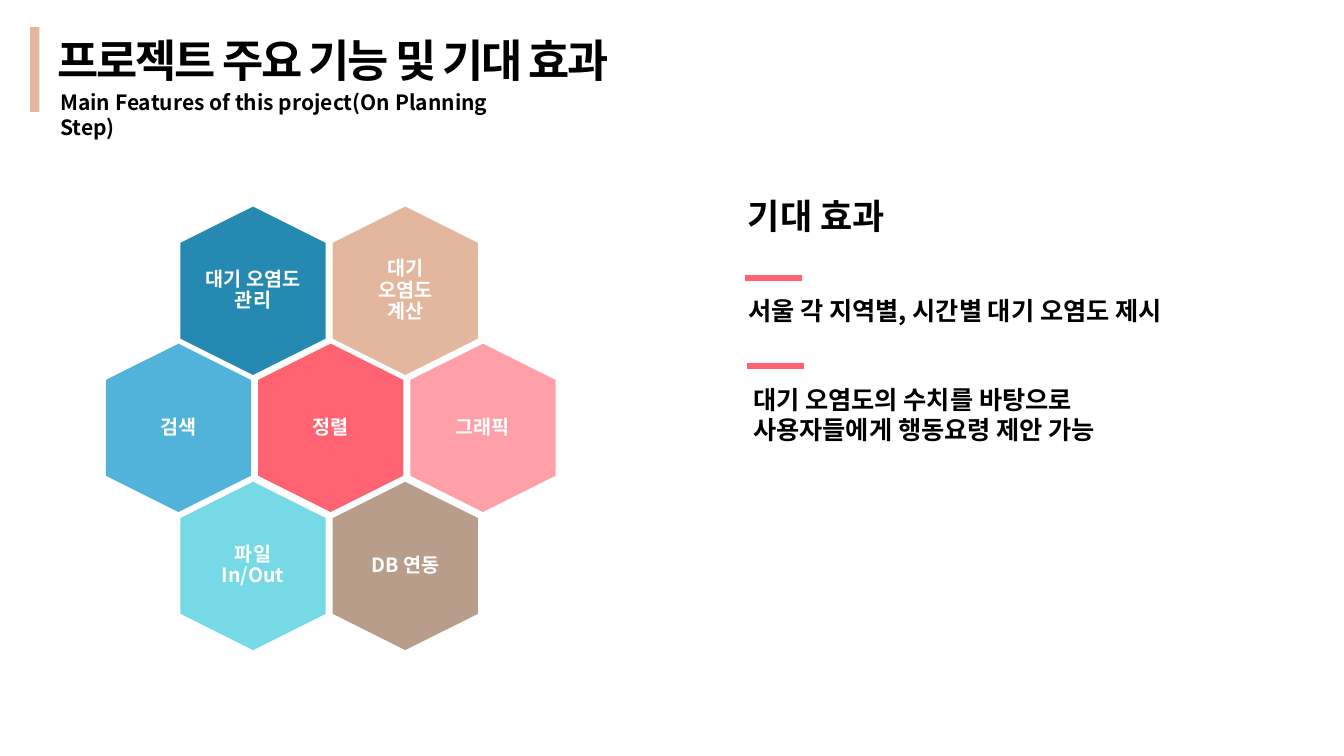
"""Build the slide on main features and expected benefits."""
import dataclasses

import pptx
import pptx.dml.color
import pptx.enum.shapes
import pptx.enum.text
import pptx.oxml.ns
import pptx.util
from lxml import etree

Inches = pptx.util.Inches
Align = pptx.enum.text.PP_ALIGN
Anchor = pptx.enum.text.MSO_ANCHOR
qn = pptx.oxml.ns.qn


@dataclasses.dataclass(frozen=True)
class Theme:
    """Hold the fonts, colours and type sizes."""
    font: str = "Noto Sans CJK KR"
    ink: str = "000000"
    white: str = "FFFFFF"
    sand: str = "E3B69E"
    ocean: str = "2689B2"
    sky: str = "52B3DA"
    coral: str = "FF6372"
    pink: str = "FF9FA8"
    aqua: str = "75DAE5"
    taupe: str = "B89D8A"
    title_size: int = 32
    subtitle_size: int = 15
    heading_size: int = 25
    body_size: int = 18
    hexagon_size: int = 14
    rule_width: float = 4.5


def rgb(value):
    """Turn a hex string into a colour."""
    return pptx.dml.color.RGBColor.from_string(value)


class SlideBuilder:
    """Draw each kind of element on one slide in one style."""

    def __init__(self, slide, theme):
        """Keep the slide and the theme."""
        self.slide = slide
        self.theme = theme

    def add_text(self, shape, text, size, color, align=Align.LEFT, spacing=None):
        """Add one formatted run and return its paragraph."""
        paragraph = shape.text_frame.paragraphs[0]
        paragraph.alignment = align
        run = paragraph.add_run()
        run.text = text
        run.font.size = pptx.util.Pt(size)
        run.font.bold = True
        run.font.color.rgb = rgb(color)
        run.font.name = self.theme.font
        properties = run._r.get_or_add_rPr()
        etree.SubElement(properties, qn("a:ea")).set("typeface", self.theme.font)
        if spacing is not None:
            properties.set("spc", str(spacing))
        return paragraph

    def frame(self, shape):
        """Wrap the text from the top of its shape."""
        shape.text_frame.word_wrap = True
        shape.text_frame.auto_size = pptx.enum.text.MSO_AUTO_SIZE.NONE
        shape.text_frame.vertical_anchor = Anchor.TOP

    def placeholder(self, holder, box, text, size, spacing=None):
        """Move and fill a placeholder, without a bullet."""
        holder.left, holder.top, holder.width, holder.height = map(Inches, box)
        self.frame(holder)
        paragraph = self.add_text(holder, text, size, self.theme.ink, spacing=spacing)
        paragraph.space_before = pptx.util.Pt(0)
        properties = paragraph._p.get_or_add_pPr()
        properties.set("marL", "0")
        properties.set("indent", "0")
        etree.SubElement(properties, qn("a:buNone"))

    def label(self, box, text, size, align=Align.LEFT):
        """Add a text box."""
        label = self.slide.shapes.add_textbox(*map(Inches, box))
        self.frame(label)
        self.add_text(label, text, size, self.theme.ink, align)

    def paint(self, shape, color):
        """Give a shape a flat fill."""
        shape.shadow.inherit = False
        shape.fill.solid()
        shape.fill.fore_color.rgb = rgb(color)
        shape.line.fill.background()

    def bar(self, box, color):
        """Add a filled rectangle."""
        kind = pptx.enum.shapes.MSO_SHAPE.RECTANGLE
        self.paint(self.slide.shapes.add_shape(kind, *map(Inches, box)), color)

    def rule(self, left, top, length):
        """Add a short horizontal line."""
        rule = self.slide.shapes.add_connector(
            pptx.enum.shapes.MSO_CONNECTOR.STRAIGHT,
            Inches(left), Inches(top), Inches(left + length), Inches(top))
        rule.line.color.rgb = rgb(self.theme.coral)
        rule.line.width = pptx.util.Pt(self.theme.rule_width)
        etree.SubElement(rule._element.spPr, qn("a:effectLst"))

    def hexagon(self, left, top, text, color, insets):
        """Add a pointed-top hexagon with a centred caption."""
        width, height, shoulder = 1.44, 1.67, 0.36
        middle, right, bottom = left + width / 2, left + width, top + height
        corners = [(right, top + shoulder), (right, bottom - shoulder),
                   (middle, bottom), (left, bottom - shoulder),
                   (left, top + shoulder)]
        outline = self.slide.shapes.build_freeform(Inches(middle), Inches(top))
        outline.add_line_segments([(Inches(x), Inches(y)) for x, y in corners])
        hexagon = outline.convert_to_shape()
        self.paint(hexagon, color)
        frame = hexagon.text_frame
        frame.word_wrap = True
        frame.vertical_anchor = Anchor.MIDDLE
        side, edge = map(Inches, insets)
        frame.margin_left = frame.margin_right = side
        frame.margin_top = frame.margin_bottom = edge
        paragraph = self.add_text(hexagon, text, self.theme.hexagon_size,
                                  self.theme.white, Align.CENTER)
        paragraph.line_spacing = 0.9


def main():
    """Compose and save the slide."""
    theme = Theme()
    deck = pptx.Presentation()
    deck.slide_width, deck.slide_height = Inches(13.33), Inches(7.5)
    slide = deck.slides.add_slide(deck.slide_layouts[3])
    builder = SlideBuilder(slide, theme)
    title, *benefit_holders = slide.placeholders

    builder.placeholder(title, (0.47, 0.27, 6.45, 0.64),
                        "프로젝트 주요 기능 및 기대 효과", theme.title_size, -150)
    builder.bar((0.3, 0.27, 0.09, 0.84), theme.sand)
    builder.label((0.5, 0.84, 5.01, 0.35),
                  "Main Features of this project(On Planning Step)",
                  theme.subtitle_size)

    narrow, wide = (0.29, 0.33), (0.22, 0.25)
    feature_rows = [
        (1.79, 2.05, [("대기 오염도 관리", theme.ocean, wide),
                      ("대기 오염도 계산", theme.sand, narrow)]),
        (1.05, 3.41, [("검색", theme.sky, narrow),
                      ("정렬", theme.coral, narrow),
                      ("그래픽", theme.pink, wide)]),
        (1.79, 4.78, [("파일 In/Out", theme.aqua, wide),
                      ("DB 연동", theme.taupe, narrow)]),
    ]
    column_pitch = 1.51
    for row_left, top, features in feature_rows:
        for column, (feature, color, insets) in enumerate(features):
            builder.hexagon(row_left + column * column_pitch, top,
                            feature, color, insets)

    builder.label((7.32, 1.88, 1.72, 0.52), "기대 효과",
                  theme.heading_size, Align.JUSTIFY)
    benefits = [
        (7.39, 2.76, 7.32, 2.88, "서울 각 지역별, 시간별 대기 오염도 제시"),
        (7.41, 3.63, 7.37, 3.76,
         "대기 오염도의 수치를 바탕으로 사용자들에게 행동요령 제안 가능"),
    ]
    for holder, benefit in zip(benefit_holders, benefits):
        rule_left, rule_top, left, top, text = benefit
        builder.rule(rule_left, rule_top, 0.56)
        builder.placeholder(holder, (left, top, 4.75, 0.71), text, theme.body_size)

    deck.save("out.pptx")


if __name__ == "__main__":
    main()
